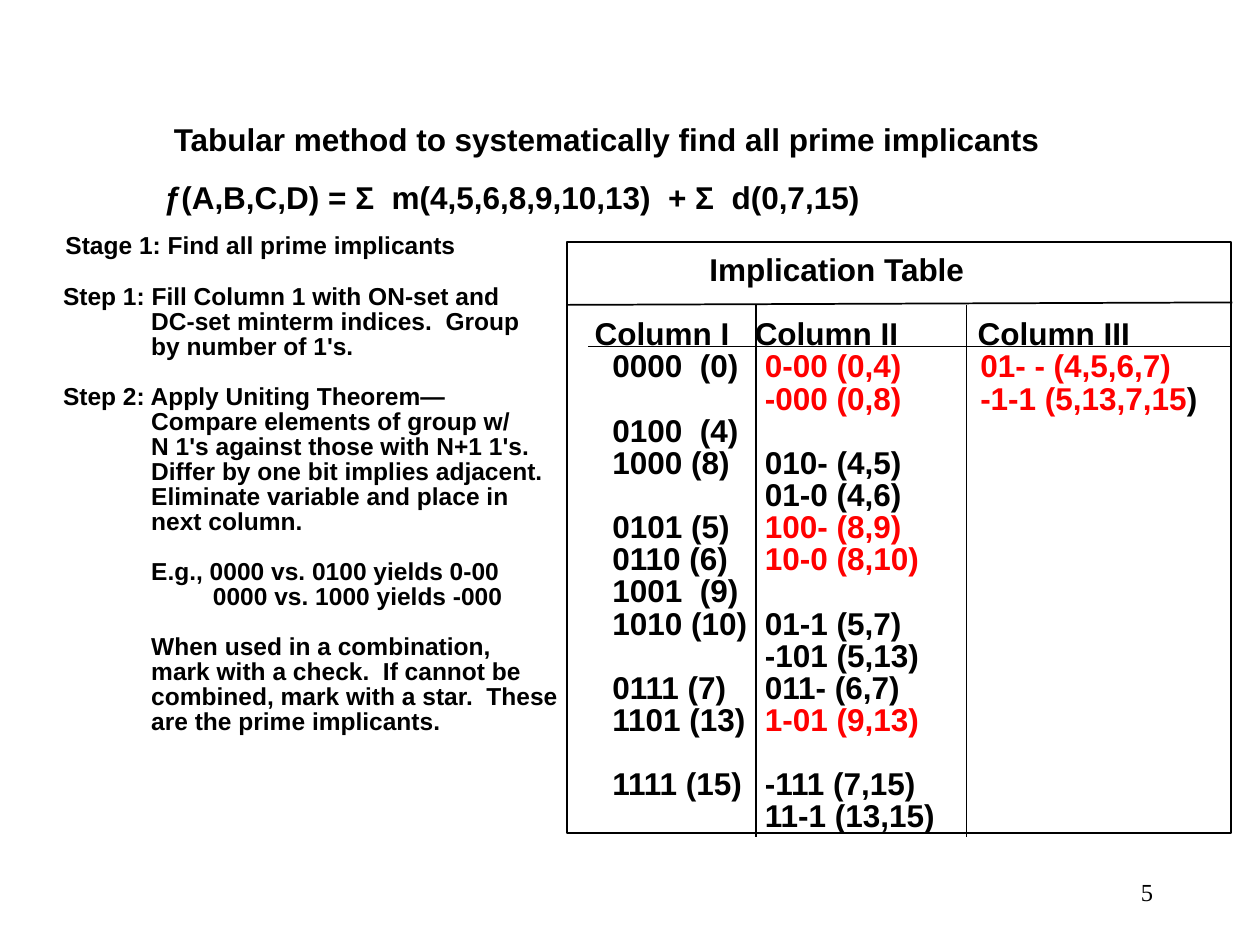
from lxml import etree
from pptx import Presentation, util as u
from pptx.dml.color import RGBColor
from pptx.enum import shapes, text
from pptx.oxml.ns import qn

BLACK, RED = "000000", "FF0000"
LINE_PITCH = 1.02  # height of a line at 85 % spacing, as a share of its size

# Implication table: blank lines above, then (text, colour) spans; tabs part the columns
TABLE_ROWS = [
    (0, [("\t0000  (0)", BLACK), ("\t0-00 (0,4)\t01- - (4,5,6,7)", RED)]),
    (0, [("\t\t-000 (0,8)\t-1-1 (5,13,7,15", RED), (")", BLACK)]),
    (0, [("\t0100  (4)", BLACK)]),
    (0, [("\t1000 (8)\t010- (4,5)", BLACK)]),
    (0, [("\t\t01-0 (4,6)", BLACK)]),
    (0, [("\t0101 (5)", BLACK), ("\t100- (8,9)", RED)]),
    (0, [("\t0110 (6)", BLACK), ("\t10-0 (8,10)", RED)]),
    (0, [("\t1001  (9)", BLACK)]),
    (0, [("\t1010 (10)\t01-1 (5,7)", BLACK)]),
    (0, [("\t\t-101 (5,13)", BLACK)]),
    (0, [("\t0111 (7)\t011- (6,7)", BLACK)]),
    (0, [("\t1101 (13)", BLACK), ("\t1-01 (9,13)", RED)]),
    (1, [("\t1111 (15)\t-111 (7,15)", BLACK)]),
    (0, [("\t\t11-1 (13,15)", BLACK)]),
]

# Step blocks: (indent in inches, line); a blank line parts the blocks
STEP, BODY, EXAMPLE = 0, 0.7, 1.19
STEP_BLOCKS = [
    [(STEP, "Step 1: Fill Column 1 with ON-set and"),
     (BODY, "DC-set minterm indices.  Group"),
     (BODY, "by number of 1's.")],
    [(STEP, "Step 2: Apply Uniting Theorem—"),
     (BODY, "Compare elements of group w/"),
     (BODY, "N 1's against those with N+1 1's."),
     (BODY, "Differ by one bit implies adjacent."),
     (BODY, "Eliminate variable and place in"),
     (BODY, "next column.")],
    [(BODY, "E.g., 0000 vs. 0100 yields 0-00"),
     (EXAMPLE, "0000 vs. 1000 yields -000")],
    [(BODY, "When used in a combination,"),
     (BODY, "mark with a check.  If cannot be"),
     (BODY, "combined, mark with a star.  These"),
     (BODY, "are the prime implicants.")],
]


def color(value):
    return RGBColor.from_string(value)


def format_frame(box, wrap=False, **values):
    """Give a text box or placeholder its frame settings."""
    frame = box.text_frame
    settings = dict(margin_left=u.Inches(0.07), margin_right=0,
                    margin_top=u.Inches(0.03), margin_bottom=u.Inches(0.03),
                    vertical_anchor=text.MSO_ANCHOR.TOP,
                    auto_size=text.MSO_AUTO_SIZE.NONE, word_wrap=wrap)
    for name, value in {**settings, **values}.items():
        setattr(frame, name, value)
    return frame


def add_box(page, left, top, width, height, **values):
    box = page.shapes.add_textbox(*map(u.Inches, (left, top, width, height)))
    return format_frame(box, **values)


def write_line(frame, spans, size, blanks=0, indent=0, tabs=()):
    """Write one paragraph, into the empty first one when there is one."""
    para = frame.paragraphs[0]
    if para.runs:
        para = frame.add_paragraph()
    props = para._p.get_or_add_pPr()
    if indent:
        props.set("marL", str(u.Inches(indent)))
        props.set("indent", "0")
    if tabs:
        stops = etree.SubElement(props, qn("a:tabLst"))
        for stop in tabs:
            etree.SubElement(stops, qn("a:tab"), pos=str(u.Inches(stop)), algn="l")
    para.alignment = text.PP_ALIGN.LEFT
    para.line_spacing = 0.85
    para.space_before = u.Pt(blanks * size * LINE_PITCH)
    for words, shade in spans:
        span = para.add_run()
        span.text = words
        for name, value in dict(name="Arial", size=u.Pt(size), bold=True).items():
            setattr(span.font, name, value)
        span.font.color.rgb = color(shade)
    return para


def add_rule(page, x1, y1, x2, y2):
    rule = page.shapes.add_connector(shapes.MSO_CONNECTOR.STRAIGHT,
                                     *map(u.Inches, (x1, y1, x2, y2)))
    rule.line.color.rgb = color(BLACK)
    rule.line.width = u.Pt(1)
    etree.SubElement(rule._element.spPr, qn("a:effectLst"))


def add_title(page):
    title = page.shapes.title
    place = dict(left=1.31, top=0.97, width=7.03, height=0.31)
    for name, value in place.items():
        setattr(title, name, u.Inches(value))
    write_line(format_frame(title),
               [("Tabular method to systematically find all prime implicants", BLACK)], 18)


def add_steps(page):
    frame = add_box(page, 0.43, 2.24, 4.08, 3.63, wrap=True)
    for number, block in enumerate(STEP_BLOCKS):
        for row, (indent, words) in enumerate(block):
            write_line(frame, [(words, BLACK)], 14,
                       blanks=int(number > 0 and row == 0), indent=indent)


def add_implication_table(page):
    frame = add_box(page, 4.58, 2, 5.42, 4.65, wrap=True)
    write_line(frame, [("\tImplication Table", BLACK)], 18, tabs=[0.98])
    write_line(frame, [("\tColumn I\tColumn II\tColumn III", BLACK)], 18,
               blanks=1, tabs=[0.07, 1.34, 3.11])
    for blanks, spans in TABLE_ROWS:
        write_line(frame, spans, 18, blanks=blanks, tabs=[0.21, 1.42, 3.13])

    # Frame and rules
    border = page.shapes.add_shape(shapes.MSO_SHAPE.RECTANGLE,
                                   *map(u.Inches, (4.5, 1.92, 5.27, 4.69)))
    border.shadow.inherit = False
    border.fill.background()
    border.line.color.rgb = color(BLACK)
    border.line.width = u.Pt(1)
    add_rule(page, 4.5, 2.42, 9.78, 2.4)
    for x in (6, 7.67):
        add_rule(page, x, 2.42, x, 6.64)
    add_rule(page, 4.67, 2.75, 9.78, 2.75)


def add_page_number(page):
    frame = add_box(page, 7.17, 6.83, 2.08, 0.5, wrap=True,
                    margin_right=u.Inches(0.1),
                    vertical_anchor=text.MSO_ANCHOR.MIDDLE)
    para = write_line(frame, [("5", BLACK)], 14)
    para.alignment = text.PP_ALIGN.RIGHT
    para.line_spacing = 1.0
    para.runs[0].font.name = "Times New Roman"
    para.runs[0].font.bold = False


def main():
    deck = Presentation()
    deck.slide_width, deck.slide_height = u.Inches(10), u.Inches(7.5)
    page = deck.slides.add_slide(deck.slide_layouts[5])
    add_page_number(page)
    add_title(page)
    add_implication_table(page)

    # Function and stage heading
    write_line(add_box(page, 1.23, 1.43, 5.88, 0.31),
               [("ƒ(A,B,C,D) = Σ  m(4,5,6,8,9,10,13)  + Σ  d(0,7,15)", BLACK)], 18)
    write_line(add_box(page, 0.45, 1.83, 3.24, 0.25),
               [("Stage 1: Find all prime implicants", BLACK)], 14)
    add_steps(page)
    deck.save("out.pptx")


if __name__ == "__main__":
    main()
